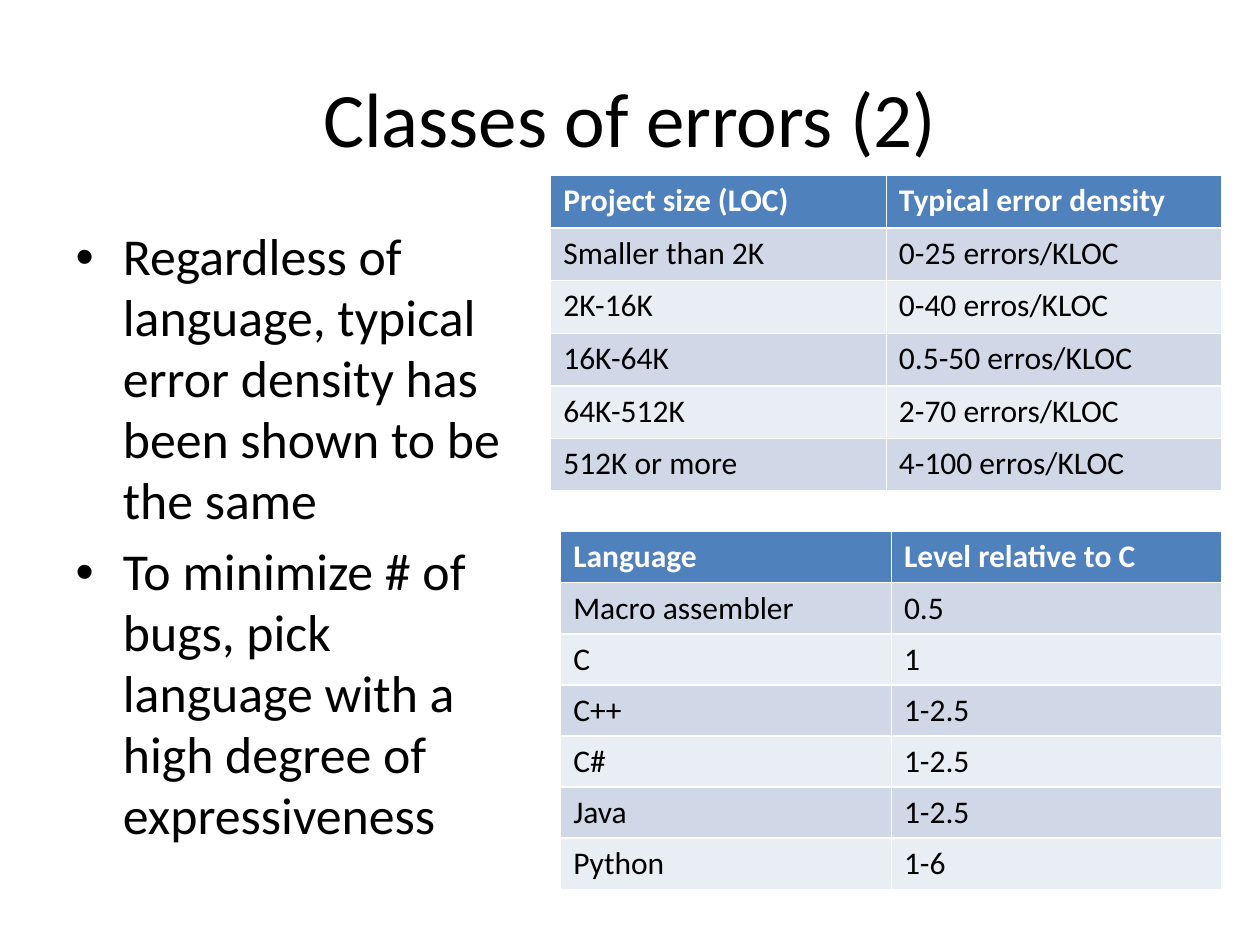
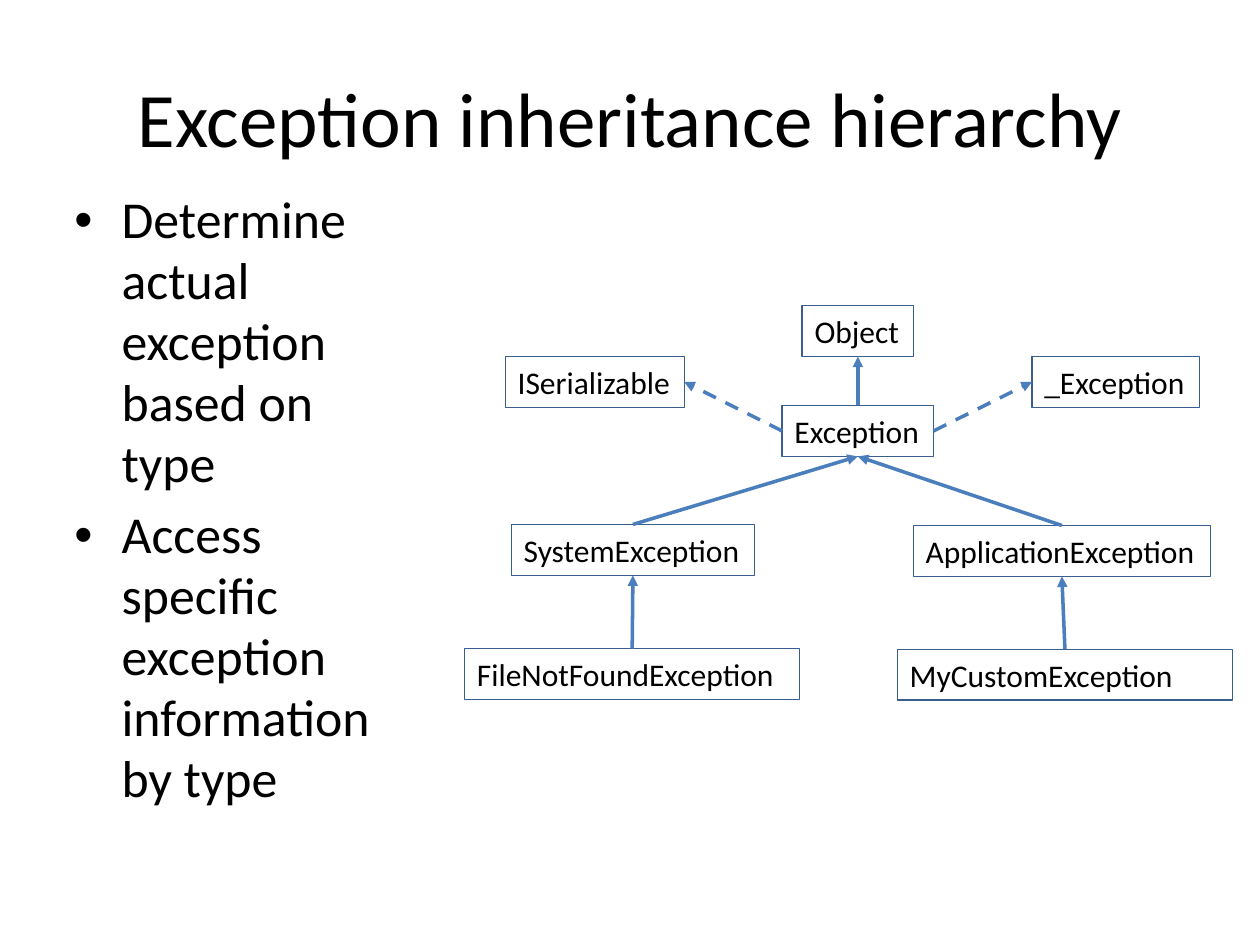
"""Build two slides on error density and the exception hierarchy."""
import pptx
import pptx.dml.color
import pptx.enum.dml
import pptx.enum.shapes
import pptx.enum.text
import pptx.oxml.ns
import pptx.util
from lxml import etree

Pt = pptx.util.Pt
qn = pptx.oxml.ns.qn
RGB = pptx.dml.color.RGBColor.from_string
PP_ALIGN = pptx.enum.text.PP_ALIGN
AUTO_SIZE = pptx.enum.text.MSO_AUTO_SIZE

COLORS = {
    "text": "000000",
    "header": "4F81BD",
    "header_text": "FFFFFF",
    "band_dark": "D0D8E8",
    "band_light": "E9EDF4",
    "box_line": "3A5F8C",
    "arrow": "4B7EBC",
}
FONT = "Calibri"


def add_run(p, text, size, color="text", bold=False):
    r = p.add_run()
    r.text = text
    r.font.name = FONT
    r.font.size = Pt(size)
    r.font.bold = bold
    r.font.color.rgb = RGB(COLORS[color])


def add_list_slide(title, bullets, box):
    s = prs.slides.add_slide(prs.slide_layouts[1])
    sp = s.shapes.title
    sp.left, sp.top, sp.width, sp.height = Pt(36), Pt(21.6), Pt(648), Pt(90)
    p = sp.text_frame.paragraphs[0]
    p.alignment = PP_ALIGN.CENTER
    add_run(p, title, 44)
    body = s.placeholders[1]
    body.left, body.top, body.width, body.height = [Pt(v) for v in box]
    tf = body.text_frame
    tf.auto_size = AUTO_SIZE.NONE
    for i, text in enumerate(bullets):
        p = tf.add_paragraph() if i else tf.paragraphs[0]
        p.space_before = Pt(6)
        p.line_spacing = 0.98
        add_run(p, text, 29.6)
    return s


prs = pptx.Presentation()
prs.slide_width, prs.slide_height = Pt(720), Pt(540)

s = add_list_slide(
    "Classes of errors (2)",
    ["Regardless of language, typical error density has been shown to be the same",
     "To minimize # of bugs, pick language with a high degree of expressiveness"],
    (36, 126, 273, 356.4))

tables = [
    (320.4, 303.8, 378, 29.2, [
        ("Language", "Level relative to C"),
        ("Macro assembler", "0.5"),
        ("C", "1"),
        ("C++", "1-2.5"),
        ("C#", "1-2.5"),
        ("Java", "1-2.5"),
        ("Python", "1-6"),
    ]),
    (314.7, 100.2, 383.6, 30.1, [
        ("Project size (LOC)", "Typical error density"),
        ("Smaller than 2K", "0-25 errors/KLOC"),
        ("2K-16K", "0-40 erros/KLOC"),
        ("16K-64K", "0.5-50 erros/KLOC"),
        ("64K-512K", "2-70 errors/KLOC"),
        ("512K or more", "4-100 erros/KLOC"),
    ]),
]
for left, top, width, row_height, rows in tables:
    tbl = s.shapes.add_table(len(rows), 2, Pt(left), Pt(top), Pt(width),
                             Pt(row_height * len(rows))).table
    for i, row in enumerate(rows):
        tbl.rows[i].height = Pt(row_height)
        fill = "band_dark" if i % 2 else "band_light"
        for j, text in enumerate(row):
            cell = tbl.cell(i, j)
            cell.fill.solid()
            cell.fill.fore_color.rgb = RGB(COLORS[fill if i else "header"])
            add_run(cell.text_frame.paragraphs[0], text, 18,
                    "text" if i else "header_text", i == 0)

s = add_list_slide(
    "Exception inheritance hierarchy",
    ["Determine actual exception based on type",
     "Access specific exception information by type"],
    (35.3, 105, 199.5, 348.5))

classes = [
    ("ISerializable", 288.7, 203.7, 102.3, False),
    ("_Exception", 589.7, 203.7, 95.8, False),
    ("Exception", 446.9, 231.7, 86.6, False),
    ("Object", 458.4, 174.7, 63.6, False),
    ("SystemException", 292.2, 299.7, 139, False),
    ("FileNotFoundException", 265.5, 370.6, 191.5, True),
    ("ApplicationException", 521.8, 300.3, 170, False),
    ("MyCustomException", 512.8, 371, 191.5, True),
]
boxes = {}
for name, left, top, width, wrap in classes:
    sp = s.shapes.add_shape(pptx.enum.shapes.MSO_SHAPE.RECTANGLE,
                            Pt(left), Pt(top), Pt(width), Pt(29.1))
    sp.shadow.inherit = False
    sp.fill.background()
    sp.line.color.rgb = RGB(COLORS["box_line"])
    sp.line.width = Pt(0.75)
    tf = sp.text_frame
    tf.word_wrap = wrap
    tf.auto_size = AUTO_SIZE.SHAPE_TO_FIT_TEXT
    p = tf.paragraphs[0]
    p.alignment = PP_ALIGN.LEFT
    add_run(p, name, 18)
    boxes[name] = sp

TOP, LEFT, BOTTOM, RIGHT = range(4)
arrows = [
    ("Exception", TOP, "Object", BOTTOM, False),
    ("SystemException", TOP, "Exception", BOTTOM, False),
    ("FileNotFoundException", TOP, "SystemException", BOTTOM, False),
    ("Exception", LEFT, "ISerializable", RIGHT, True),
    ("Exception", RIGHT, "_Exception", LEFT, True),
    ("MyCustomException", TOP, "ApplicationException", BOTTOM, False),
    ("ApplicationException", TOP, "Exception", BOTTOM, False),
]
for child, start, parent, end, dashed in arrows:
    c = s.shapes.add_connector(pptx.enum.shapes.MSO_CONNECTOR.STRAIGHT, 0, 0, 0, 0)
    c.begin_connect(boxes[child], start)
    c.end_connect(boxes[parent], end)
    c.line.color.rgb = RGB(COLORS["arrow"])
    c.line.width = Pt(2)
    if dashed:
        c.line.dash_style = pptx.enum.dml.MSO_LINE.DASH
    spPr = c._element.spPr
    etree.SubElement(spPr.find(qn("a:ln")), qn("a:tailEnd"), type="triangle")
    etree.SubElement(spPr, qn("a:effectLst"))

prs.save("out.pptx")
